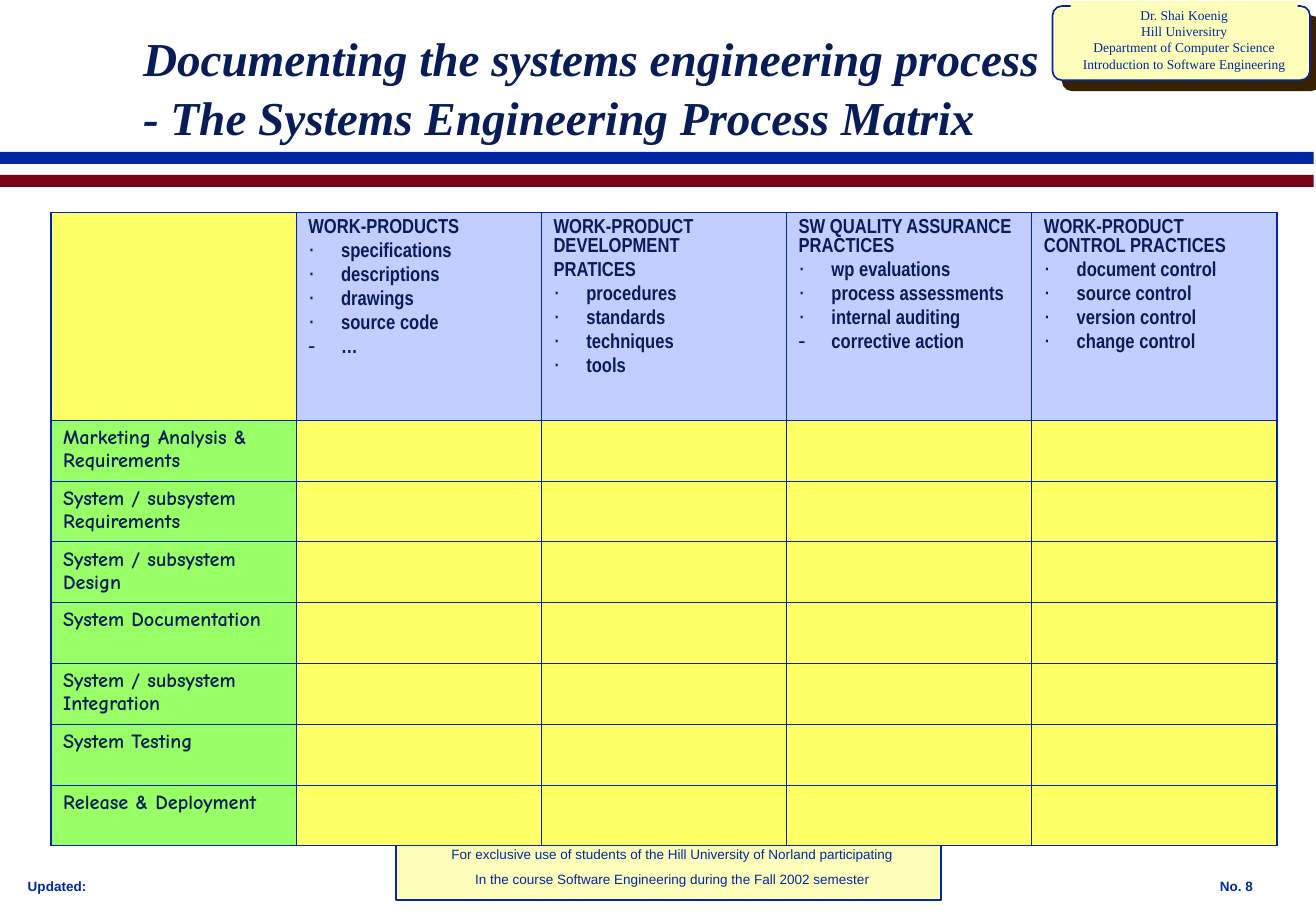
import pptx
import pptx.util
import pptx.dml.color
import pptx.enum.shapes
import pptx.enum.text
import pptx.oxml
import pptx.oxml.ns

Inches, Pt = pptx.util.Inches, pptx.util.Pt
PRESET = pptx.enum.shapes.MSO_SHAPE
ALIGN = pptx.enum.text.PP_ALIGN
ANCHOR = pptx.enum.text.MSO_ANCHOR

BLUE, NAVY, MAROON, BROWN = "00279F", "081D58", "790015", "372000"
CREAM, YELLOW, GREEN, LILAC = "FCFEB9", "FFFF66", "99FF66", "C1CEFF"
SERIF, SANS, NARROW, COMIC = "Times New Roman", "Arial", "Arial Narrow", "Comic Neue"


def rgb(value):
    return pptx.dml.color.RGBColor.from_string(value)


def xml(source):
    head, rest = source.split(" ", 1)
    return pptx.oxml.parse_xml(f"{head} {pptx.oxml.ns.nsdecls('a')} {rest}")


class ProcessSlide:
    """Holds the text style and the slide, and draws each kind of element."""

    def __init__(self, slide):
        self.slide = slide
        self.inset = Inches(0.1), Inches(0.05)
        self.thin, self.thick = Pt(0.45), Pt(1.08)

    def box(self, place, fill, line=None, preset=PRESET.RECTANGLE):
        shape = self.slide.shapes.add_shape(preset, *map(Inches, place))
        shape.shadow.inherit = False
        shape.fill.solid()
        shape.fill.fore_color.rgb = rgb(fill)
        if line:
            shape.line.color.rgb = rgb(line)
            shape.line.width = Pt(1)
        else:
            shape.line.fill.background()
        return shape

    def cast_shadow(self, shape, color):
        effects = shape.element.spPr.find(pptx.oxml.ns.qn("a:effectLst"))
        effects.append(xml(
            f'<a:outerShdw dist="{Pt(8.5)}" dir="2700000" algn="ctr" rotWithShape="0">'
            f'<a:srgbClr val="{color}"/></a:outerShdw>'))

    def run(self, paragraph, text, size, font, color, bold=False, italic=False):
        run = paragraph.add_run()
        run.text = text
        run.font.size, run.font.name = Pt(size), font
        run.font.bold, run.font.italic = bold, italic
        run.font.color.rgb = rgb(color)

    def paragraphs(self, frame, lines, *style, align=ALIGN.LEFT, before=0, **weight):
        for index, line in enumerate(lines):
            paragraph = frame.add_paragraph() if index else frame.paragraphs[0]
            paragraph.alignment = align
            paragraph.space_before = Pt(before)
            marker = line[:2] if line[:2] in ("· ", "- ") else ""
            if marker:
                self.bullet(paragraph, marker[0])
            self.run(paragraph, line[len(marker):], *style, **weight)

    def bullet(self, paragraph, mark):
        properties = paragraph._p.get_or_add_pPr()
        properties.set("marL", str(Inches(0.27)))
        properties.set("indent", str(-Inches(0.27)))
        properties.append(xml(f'<a:buChar char="{mark}"/>'))

    def frame(self, shape, wrap=True, anchor=ANCHOR.TOP):
        frame = shape.text_frame
        frame.word_wrap, frame.vertical_anchor = wrap, anchor
        frame.margin_left = frame.margin_right = self.inset[0]
        frame.margin_top = frame.margin_bottom = self.inset[1]
        return frame

    def text(self, place, lines, *style, wrap=True, **options):
        shape = self.slide.shapes.add_textbox(*map(Inches, place))
        self.paragraphs(self.frame(shape, wrap), lines, *style, **options)

    def title(self, place, lines):
        shape = self.slide.shapes.add_textbox(*map(Inches, place))
        paragraph = self.frame(shape, anchor=ANCHOR.MIDDLE).paragraphs[0]
        paragraph.line_spacing = 1.05
        for index, line in enumerate(lines):
            if index:
                paragraph.add_line_break()
            self.run(paragraph, line, 28, SERIF, NAVY, bold=True, italic=True)

    def cell(self, cell, lines, font, fill, outer):
        cell.margin_left = cell.margin_right = self.inset[0]
        cell.margin_top = cell.margin_bottom = self.inset[1]
        properties = cell._tc.get_or_add_tcPr()
        for side in "LRTB":
            width = self.thick if side in outer else self.thin
            properties.append(xml(
                f'<a:ln{side} w="{width}"><a:solidFill><a:srgbClr val="{BLUE}"/>'
                f'</a:solidFill></a:ln{side}>'))
        cell.fill.solid()
        cell.fill.fore_color.rgb = rgb(fill)
        self.paragraphs(cell.text_frame, lines, 12, font, NAVY, before=3, bold=True)

    def matrix(self, left, top, column_width, header_height, row_height, headers, phases):
        rows, columns = len(phases) + 1, len(headers) + 1
        table = self.slide.shapes.add_table(
            rows, columns, Inches(left), Inches(top), Inches(column_width * columns),
            Inches(header_height + row_height * len(phases))).table
        table.first_row = table.horz_banding = False
        for column in table.columns:
            column.width = Inches(column_width)
        for r, row in enumerate(table.rows):
            row.height = Inches(row_height if r else header_height)
            for c, cell in enumerate(row.cells):
                edges = {"L": c == 0, "R": c == columns - 1, "T": r == 0, "B": r == rows - 1}
                outer = [side for side, on in edges.items() if on]
                if r == 0 and c:
                    self.cell(cell, headers[c - 1], NARROW, LILAC, outer)
                elif r and c == 0:
                    self.cell(cell, [phases[r - 1]], COMIC, GREEN, outer)
                else:
                    self.cell(cell, [], NARROW, YELLOW, outer)


COURSE = ["Dr. Shai Koenig", "Hill Universitry", "Department of Computer Science",
          "Introduction to Software Engineering"]
USAGE = ["For exclusive use of students of the Hill University of Norland participating",
         "In the course Software Engineering during the Fall 2002 semester"]
HEADERS = [
    ["WORK-PRODUCTS", "· specifications", "· descriptions", "· drawings",
     "· source code", "- …"],
    ["WORK-PRODUCT DEVELOPMENT", "PRATICES", "· procedures", "· standards",
     "· techniques", "· tools"],
    ["SW QUALITY ASSURANCE PRACTICES", "· wp evaluations", "· process assessments",
     "· internal auditing", "- corrective action"],
    ["WORK-PRODUCT CONTROL PRACTICES", "· document control", "· source control",
     "· version control", "· change control"],
]
PHASES = ["Marketing Analysis & Requirements", "System / subsystem Requirements",
          "System / subsystem Design", "System Documentation",
          "System / subsystem Integration", "System Testing", "Release & Deployment"]

deck = pptx.Presentation()
deck.slide_width, deck.slide_height = Inches(10.84), Inches(7.5)
page = ProcessSlide(deck.slides.add_slide(deck.slide_layouts[6]))

page.box((3.26, 6.92, 4.49, 0.49), CREAM, BLUE)
for stripe_top, stripe_color in ((1.25, BLUE), (1.44, MAROON)):
    page.box((0, stripe_top, 10.82, 0.1), stripe_color)

course_plate = page.box((8.67, 0.05, 2.12, 0.61), CREAM, BLUE, PRESET.ROUNDED_RECTANGLE)
course_plate.adjustments[0] = 0.125
page.cast_shadow(course_plate, BROWN)
course_label = page.box((8.82, 0.01, 1.87, 0.63), CREAM)
page.paragraphs(page.frame(course_label, wrap=False), COURSE, 8, SERIF, BLUE,
                align=ALIGN.CENTER)

page.text((0.13, 7.18, 1.15, 0.23), ["Updated:"], 8, SANS, BLUE, wrap=False, bold=True)
page.text((9.95, 7.18, 0.95, 0.23), ["No. 8"], 8, SANS, BLUE, wrap=False, bold=True)
page.text((3.25, 6.92, 4.58, 0.44), USAGE, 8, SANS, BLUE, align=ALIGN.CENTER, before=5)
page.title((1.08, 0.33, 8.5, 0.75), ["Documenting the systems engineering process",
                                     "- The Systems Engineering Process Matrix"])
page.matrix(0.42, 1.75, 2.02, 1.71, 0.5, HEADERS, PHASES)

deck.save("out.pptx")
